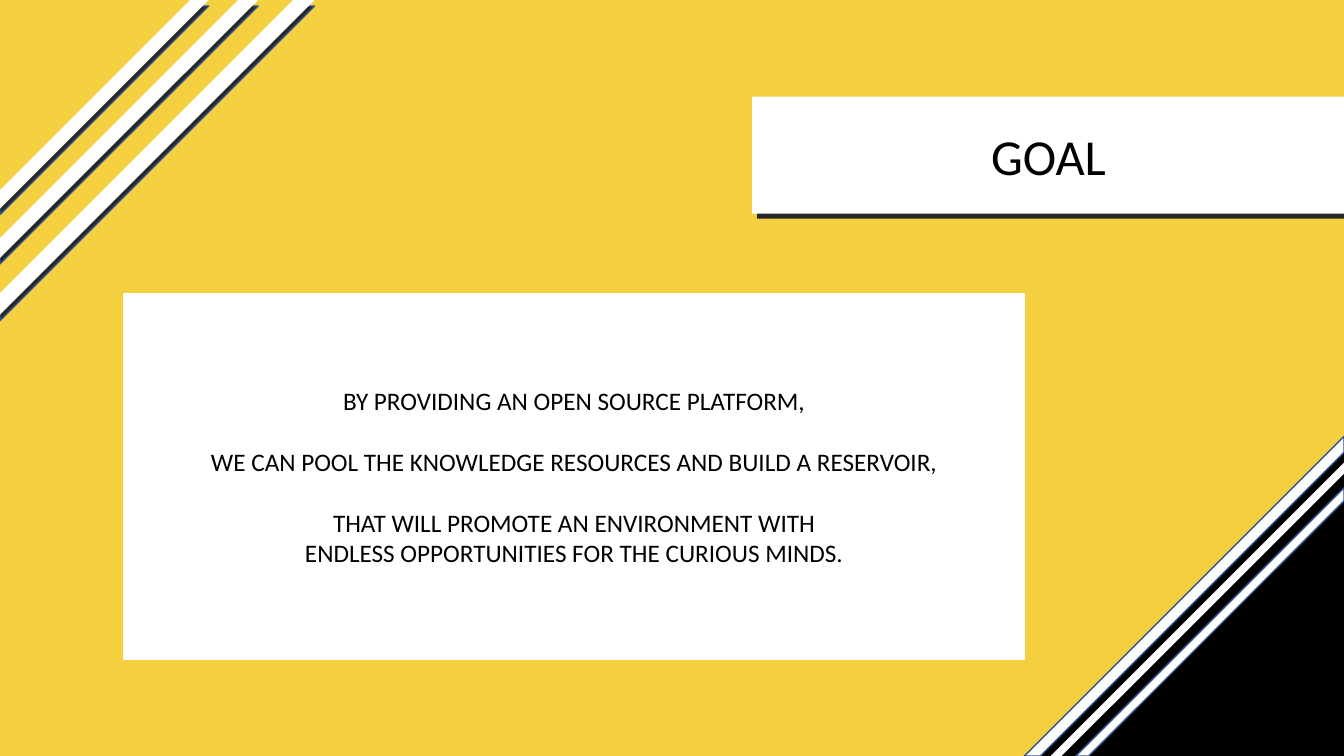
import pptx
import pptx.util
import pptx.dml.color
import pptx.enum.shapes
import pptx.enum.text

Inches, Pt = pptx.util.Inches, pptx.util.Pt
RGBColor = pptx.dml.color.RGBColor
SHAPE = pptx.enum.shapes.MSO_SHAPE
STRIPE = SHAPE.DIAGONAL_STRIPE

# Content
TITLE = "GOAL"
# (line, points of space before it)
STATEMENT = [
    ("BY PROVIDING AN OPEN SOURCE PLATFORM,", 0),
    ("WE CAN POOL THE KNOWLEDGE RESOURCES AND BUILD A RESERVOIR,", 22),
    ("THAT WILL PROMOTE AN ENVIRONMENT WITH", 22),
    ("ENDLESS OPPORTUNITIES FOR THE CURIOUS MINDS.", 0),
]

# Style
YELLOW = RGBColor(0xF4, 0xCF, 0x40)
BLACK = RGBColor(0, 0, 0)
WHITE = RGBColor(0xFF, 0xFF, 0xFF)
CHARCOAL = RGBColor(0x26, 0x26, 0x26)
NAVY = RGBColor(0x32, 0x54, 0x91)
FONT = "Calibri"

# Geometry in inches
WIDTH, HEIGHT = 13.33, 7.5
SHADOW_OFFSET = 0.06
TOP_STRIPES = [(2.07, 0.911), (2.56, 0.923), (3.12, 0.932)]  # size, inner edge
# Bottom corner, back to front: kind, size, inner edge, rotation, fill, line
CORNER = [
    (STRIPE, 3.04, 0.61, 180, BLACK, None),
    (STRIPE, 2.91, 0.61, 180, WHITE, None),
    (SHAPE.RIGHT_TRIANGLE, 2.79, None, 270, BLACK, BLACK),
    (STRIPE, 2.66, 0.952, 180, WHITE, NAVY),
    (STRIPE, 3.17, 0.95, 180, WHITE, NAVY),
]

deck = pptx.Presentation()
deck.slide_width, deck.slide_height = Inches(WIDTH), Inches(HEIGHT)
slide = deck.slides.add_slide(deck.slide_layouts[6])


def add_block(kind, left, top, width, height, fill, line=None, edge=None, rotation=0):
    block = slide.shapes.add_shape(
        kind, Inches(left), Inches(top), Inches(width), Inches(height))
    block.shadow.inherit = False
    block.fill.solid()
    block.fill.fore_color.rgb = fill
    if line is None:
        block.line.fill.background()
    else:
        block.line.color.rgb = line
        block.line.width = Pt(1)
    if edge is not None:
        block.adjustments[0] = edge
    block.rotation = rotation
    return block


def write(block, lines, size):
    frame = block.text_frame
    frame.word_wrap = True
    frame.vertical_anchor = pptx.enum.text.MSO_ANCHOR.MIDDLE
    frame.text = "\n".join(text for text, _ in lines)
    for paragraph, (_, space) in zip(frame.paragraphs, lines):
        paragraph.alignment = pptx.enum.text.PP_ALIGN.CENTER
        if space:
            paragraph.space_before = Pt(space)
        paragraph.font.name = FONT
        paragraph.font.size = Pt(size)
        paragraph.font.color.rgb = BLACK


# Background
add_block(SHAPE.RECTANGLE, 0, 0, WIDTH, HEIGHT, YELLOW)

# Top left stripes, shadows first
for top, fill, line in [(SHADOW_OFFSET, CHARCOAL, NAVY), (0, WHITE, None)]:
    for size, edge in TOP_STRIPES:
        add_block(STRIPE, 0, top, size, size, fill, line, edge)

# Title banner with its shadow
add_block(SHAPE.RECTANGLE, 7.51, 1.01, 5.82, 1.16, CHARCOAL)
banner = add_block(SHAPE.RECTANGLE, 7.46, 0.96, 5.88, 1.16, WHITE)
write(banner, [(TITLE, 0)], 36)

# Bottom right corner
for kind, size, edge, rotation, fill, line in CORNER:
    add_block(kind, WIDTH - size, HEIGHT - size, size, size, fill, line, edge, rotation)

# Goal statement
statement = add_block(SHAPE.RECTANGLE, 1.23, 2.91, 8.93, 3.63, WHITE, WHITE)
write(statement, STATEMENT, 18)

deck.save("out.pptx")
